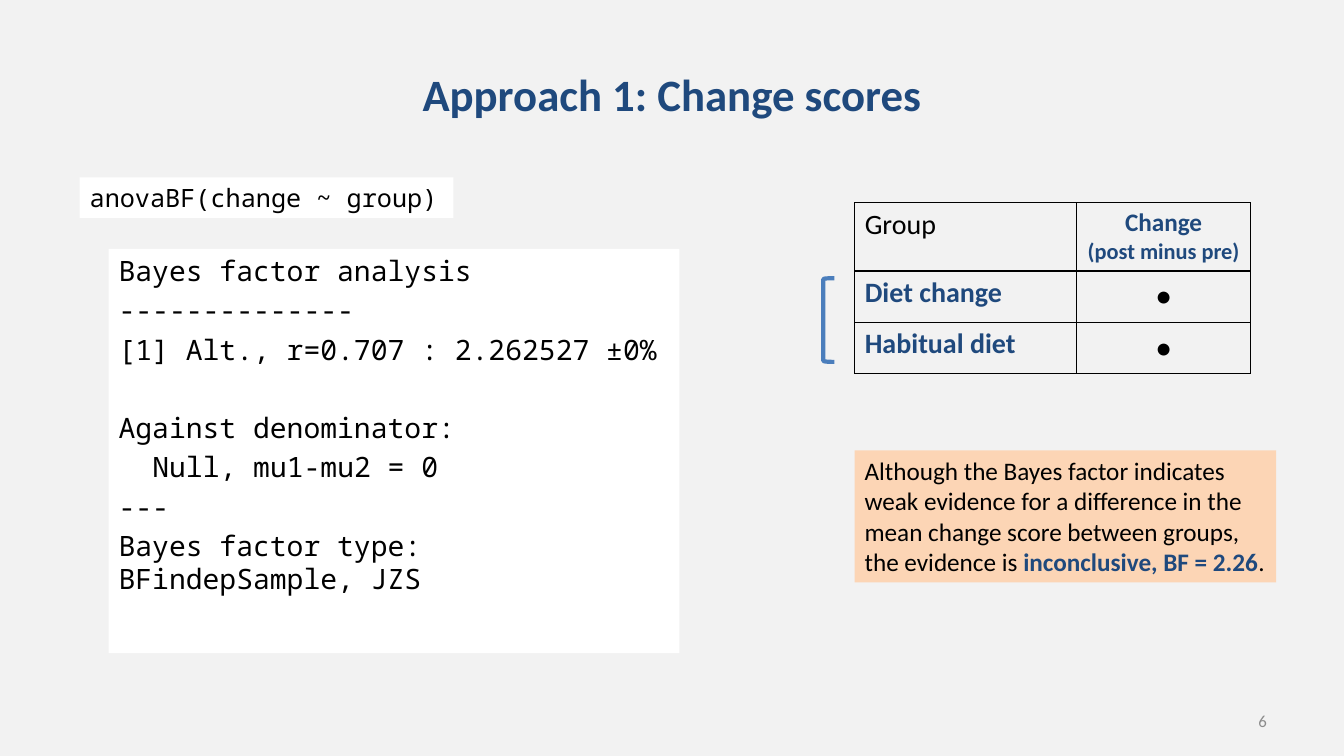
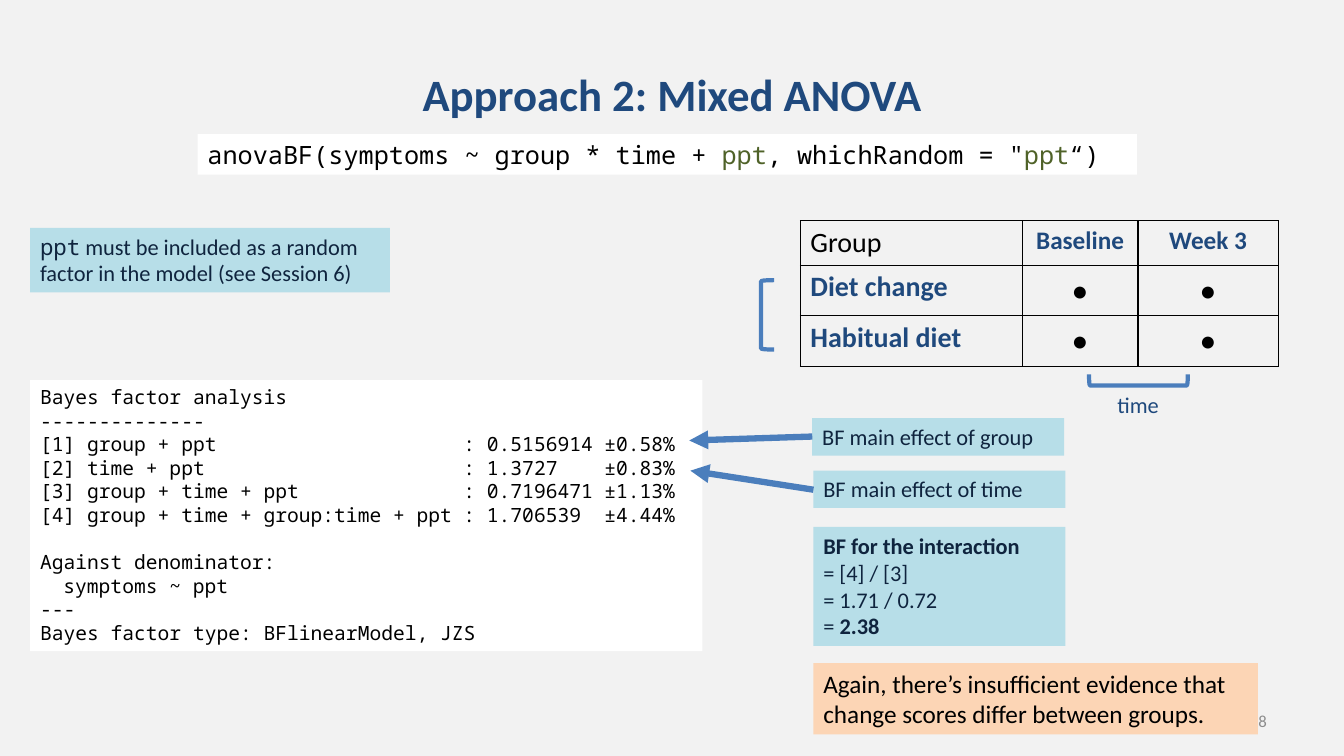
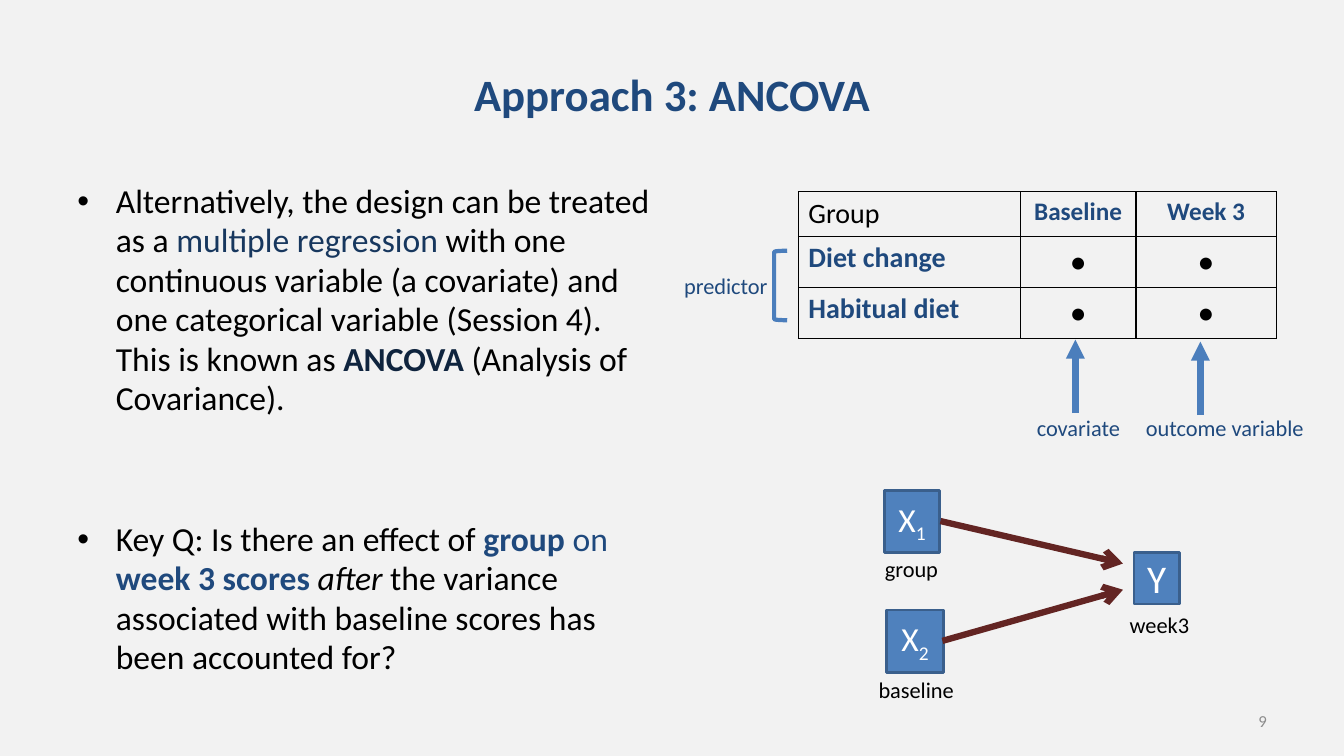
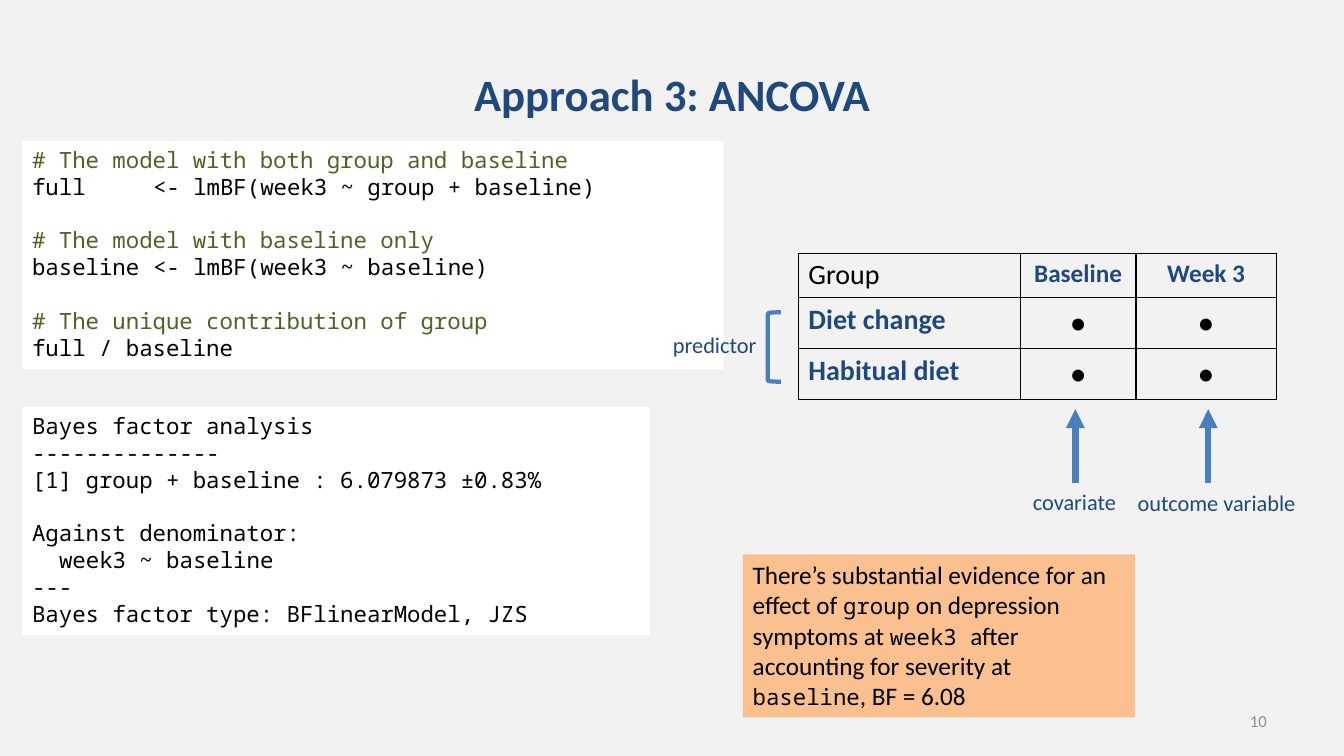
from lxml import etree
from pptx import Presentation
from pptx import util as u
from pptx.dml.color import RGBColor
from pptx.enum import shapes, text
from pptx.oxml.ns import qn

rgb = RGBColor.from_string
NAVY, INK, BLACK, WHITE = "1F497D", "0F243E", "000000", "FFFFFF"
BLUE, AQUA, PEACH, ORANGE = "4B7EBC", "B7DEE8", "FCD5B5", "FAC090"
GREEN, MAROON, GREY = "4F6228", "632523", "8C8C8C"
SANS, MONO = "Calibri", "Noto Sans Mono"
LEFT, CENTER, RIGHT = text.PP_ALIGN.LEFT, text.PP_ALIGN.CENTER, text.PP_ALIGN.RIGHT
TOP, MIDDLE = text.MSO_ANCHOR.TOP, text.MSO_ANCHOR.MIDDLE


def write(tf, paragraphs, align=LEFT, before=0, gaps={}, indents={}, tabs=(),
          bullet=False, spacing=None, **base):
    if isinstance(paragraphs, str):
        paragraphs = [paragraphs]
    for i, runs in enumerate(paragraphs):
        p = tf.paragraphs[0] if i == 0 else tf.add_paragraph()
        p.alignment = align
        p.space_before = u.Pt(gaps.get(i, before))
        if spacing:
            p.line_spacing = spacing
        pPr = p._p.get_or_add_pPr()
        if i in indents:
            pPr.set("marL", str(u.Cm(indents[i])))
        if bullet:
            pPr.set("marL", str(u.Cm(0.97)))
            pPr.set("indent", str(u.Cm(-0.97)))
            etree.SubElement(pPr, qn("a:buFont"), typeface="Arial")
            etree.SubElement(pPr, qn("a:buChar"), char="•")
        if tabs:
            stops = etree.SubElement(pPr, qn("a:tabLst"))
            for stop in tabs:
                etree.SubElement(stops, qn("a:tab"), pos=str(u.Cm(stop)), algn="l")
        for run in [runs] if isinstance(runs, str) else runs:
            words, changes = (run, {}) if isinstance(run, str) else run
            fmt = {"size": 16, "font": SANS, "color": BLACK, **base, **changes}
            r = p.add_run()
            r.text = words
            r.font.size = u.Pt(fmt["size"])
            r.font.name = fmt["font"]
            r.font.color.rgb = rgb(fmt["color"])
            r.font.bold = fmt.get("bold", False)
            r.font.italic = fmt.get("italic", False)
            if "shift" in fmt:
                r._r.get_or_add_rPr().set("baseline", str(fmt["shift"]))


def box(s, paragraphs, x, y, w, h, fill=None, line=None, wrap=True, anchor=TOP, **fmt):
    place = u.Cm(x), u.Cm(y), u.Cm(w), u.Cm(h)
    if fill:
        sp = s.shapes.add_shape(shapes.MSO_SHAPE.RECTANGLE, *place)
        sp.shadow.inherit = False
        sp.fill.solid()
        sp.fill.fore_color.rgb = rgb(fill)
        if line:
            sp.line.color.rgb = rgb(line)
            sp.line.width = u.Pt(2)
        else:
            sp.line.fill.background()
    else:
        sp = s.shapes.add_textbox(*place)
    tf = sp.text_frame
    tf.word_wrap = wrap
    tf.auto_size = text.MSO_AUTO_SIZE.NONE if wrap else text.MSO_AUTO_SIZE.SHAPE_TO_FIT_TEXT
    tf.vertical_anchor = anchor
    write(tf, paragraphs, **fmt)


prs = Presentation()
prs.slide_width, prs.slide_height = u.Cm(33.87), u.Cm(19.05)
bg = prs.slide_master.background.fill
bg.solid()
bg.fore_color.rgb = rgb("F2F2F2")

pages = [
    ("Approach 1: Change scores", "6"),
    ("Approach 2: Mixed ANOVA", "8"),
    ("Approach 3: ANCOVA", "9"),
    ("Approach 3: ANCOVA", "10"),
]
slides = []
for title, number in pages:
    s = prs.slides.add_slide(prs.slide_layouts[6])
    box(s, title, 1.7, 0.76, 30.48, 3.18, anchor=MIDDLE, align=CENTER,
        size=32, color=NAVY, bold=True)
    box(s, number, 24.28, 17.65, 7.9, 1.02, anchor=MIDDLE, align=RIGHT,
        size=12, color=GREY)
    slides.append(s)
change, mixed, ancova, result = slides

change_heads = [["Change", ("(post minus pre)", {"size": 16})]]
change_heads = [["Change", [("(post minus pre)", {"size": 16})]]]
time_heads = ["Baseline", "Week 3"]
tables = [
    (change, 21.54, 5.11, [5.59, 4.39], 1.69, change_heads),
    (mixed, 20.17, 5.56, [5.59, 2.92, 3.53], 1.12, time_heads),
    (ancova, 20.12, 4.83, [5.59, 2.92, 3.53], 1.12, time_heads),
    (result, 20.12, 6.38, [5.59, 2.92, 3.53], 1.12, time_heads),
]
for s, x, y, widths, head_height, heads in tables:
    heights = [head_height, 1.28, 1.28]
    table = s.shapes.add_table(3, len(widths), u.Cm(x), u.Cm(y),
                               u.Cm(sum(widths)), u.Cm(sum(heights))).table
    table.first_row = table.horz_banding = False
    for column, width in zip(table.columns, widths):
        column.width = u.Cm(width)
    rows = [["Group", *heads]]
    rows += [[name] + ["•"] * len(heads) for name in ("Diet change", "Habitual diet")]
    for i, row in enumerate(rows):
        table.rows[i].height = u.Cm(heights[i])
        for j, words in enumerate(row):
            cell = table.cell(i, j)
            cell.fill.background()
            tcPr = cell._tc.get_or_add_tcPr()
            for k, side in enumerate(("lnL", "lnR", "lnT", "lnB")):
                ln = etree.Element(qn("a:" + side), w=str(u.Pt(1)))
                edge = etree.SubElement(ln, qn("a:solidFill"))
                etree.SubElement(edge, qn("a:srgbClr"), val=BLACK)
                tcPr.insert(k, ln)
            label = (i == 0) != (j == 0)
            size = 20 if j == 0 else 18 if i == 0 else 24
            write(cell.text_frame, words, align=CENTER if j else LEFT, size=size,
                  color=NAVY if label else BLACK, bold=label)

box(change, [
    "Bayes factor analysis",
    "--------------",
    "[1] Alt., r=0.707 : 2.262527 ±0%",
    "Against denominator:",
    "Null, mu1-mu2 = 0",
    "---",
    "Bayes factor type: BFindepSample, JZS",
], 2.74, 6.27, 14.38, 10.19, fill=WHITE, font=MONO, size=20, before=4,
    gaps={3: 32}, indents={4: 0.85})
box(change, "anovaBF(change ~ group)", 2.01, 4.47, 9.42, 1.02, fill=WHITE,
    wrap=False, font=MONO, size=18)
box(change, [[
    "Although the Bayes factor indicates weak evidence for a difference in the "
    "mean change score between groups, the evidence is ",
    ("inconclusive, BF = 2.26", {"color": NAVY, "bold": True}),
    ".",
]], 21.54, 11.35, 10.62, 3.33, fill=PEACH, size=18)

box(mixed, [[
    "anovaBF(symptoms ~ group * time + ",
    ("ppt", {"color": GREEN}),
    ", whichRandom = \"",
    ("ppt", {"color": GREEN}),
    "“)",
]], 4.98, 3.38, 23.67, 1.02, fill=WHITE, font=MONO, size=18)
box(mixed, [[
    ("ppt", {"font": MONO}),
    " must be included as a random factor in the model (see Session 6)",
]], 0.76, 5.74, 9.07, 1.63, fill=AQUA, color=INK)
box(mixed, [
    "Bayes factor analysis",
    "--------------",
    "[1] group + ppt\t: 0.5156914\t±0.58%",
    "[2] time + ppt\t: 1.3727\t±0.83%",
    "[3] group + time + ppt\t: 0.7196471\t±1.13%",
    "[4] group + time + group:time + ppt\t: 1.706539\t±4.44%",
    "Against denominator:",
    "symptoms ~ ppt",
    "---",
    "Bayes factor type: BFlinearModel, JZS",
], 0.76, 9.58, 16.94, 6.83, fill=WHITE, font=MONO, size=14,
    gaps={6: 17}, indents={7: 0.59}, tabs=(10.67, 14.22))
box(mixed, "BF main effect of group", 20.47, 10.54, 6.35, 0.94, fill=AQUA, color=INK)
box(mixed, "BF main effect of time", 20.5, 11.86, 6.35, 0.94, fill=AQUA, color=INK)
box(mixed, [
    [("BF for the interaction", {"bold": True})],
    "= [4] / [3]",
    "= 1.71 / 0.72",
    ["= ", ("2.38", {"bold": True})],
], 20.5, 13.28, 6.35, 3, fill=AQUA, color=INK)
box(mixed, "Again, there’s insufficient evidence that change scores differ between groups.",
    20.5, 16.71, 11.2, 1.8, fill=PEACH, size=18)

box(ancova, [
    [
        "Alternatively, the design can be treated as a ",
        ("multiple regression ", {"color": "17375E"}),
        "with one continuous variable (a covariate) and one categorical variable "
        "(Session 4). This is known as ",
        ("ANCOVA", {"color": INK, "bold": True}),
        " (Analysis of Covariance).",
    ],
    [
        "Key Q: Is there an effect of ",
        ("group", {"color": NAVY, "bold": True}),
        (" on ", {"color": NAVY}),
        ("week 3 scores ", {"color": NAVY, "bold": True}),
        ("after", {"italic": True}),
        " the variance associated with baseline scores has been accounted for?",
    ],
], 1.7, 4.45, 15.14, 12.57, size=24, bullet=True, spacing=0.98, gaps={1: 72})
nodes = [
    ("X", "1", 24, 22.3, 12.37, 1.37, 1.55),
    ("X", "2", 24, 22.35, 15.37, 1.42, 1.57),
    ("Y", "", 28, 28.58, 13.92, 1.14, 1.3),
]
for letter, index, size, *place in nodes:
    runs = [letter] + ([(index, {"shift": -25000})] if index else [])
    box(ancova, [runs], *place, fill="4F81BD", line="3A5F8C", anchor=MIDDLE,
        align=CENTER, size=size, color=WHITE)

box(result, [
    [("# The model with both group and baseline", {"color": GREEN})],
    "full\t<- lmBF(week3 ~ group + baseline)",
    [("# The model with baseline only", {"color": GREEN})],
    "baseline\t<- lmBF(week3 ~ baseline)",
    [("# The unique contribution of group", {"color": GREEN})],
    "full / baseline",
], 0.56, 3.56, 17.68, 5.74, fill=WHITE, font=MONO, gaps={2: 19, 4: 19}, tabs=(3.05,))
box(result, [
    "Bayes factor analysis",
    "--------------",
    "[1] group + baseline : 6.079873 ±0.83%",
    "Against denominator:",
    "week3 ~ baseline",
    "---",
    "Bayes factor type: BFlinearModel, JZS",
], 0.56, 10.26, 15.82, 5.74, fill=WHITE, font=MONO, gaps={3: 19}, indents={4: 0.68})
code = {"font": MONO, "size": 16}
box(result, [[
    "There’s substantial evidence for an effect of ",
    ("group", code),
    " on depression symptoms at ",
    ("week3 ", code),
    "after accounting for severity at ",
    ("baseline", code),
    ", BF = 6.08",
]], 18.72, 13.97, 9.88, 4.11, fill=ORANGE, size=18)

labels = [
    (mixed, "time", 27.91, 9.73, 1.57, NAVY),
    (ancova, "covariate", 25.88, 10.31, 2.64, NAVY),
    (ancova, "predictor", 16.99, 6.73, 2.64, NAVY),
    (ancova, "outcome variable", 28.63, 10.31, 4.55, NAVY),
    (ancova, "week3", 28.22, 15.27, 2.03, BLACK),
    (ancova, "group", 22.05, 13.87, 1.88, BLACK),
    (ancova, "baseline", 21.89, 16.92, 2.44, BLACK),
    (result, "covariate", 25.78, 12.17, 2.64, NAVY),
    (result, "predictor", 16.71, 8.23, 2.64, NAVY),
    (result, "outcome variable", 28.42, 12.19, 4.55, NAVY),
]
for s, words, x, y, w, color in labels:
    box(s, words, x, y, w, 0.94, wrap=False, color=color)

brackets = [
    (change, 20.75, 7.01, 0.28, 2.11, 0),
    (mixed, 28.55, 8.33, 0.28, 2.49, 270),
    (mixed, 19.18, 7.06, 0.33, 1.75, 0),
    (ancova, 19.51, 6.32, 0.33, 1.75, 0),
    (result, 19.35, 7.87, 0.33, 1.75, 0),
]
for s, x, y, w, h, turn in brackets:
    sp = s.shapes.add_shape(shapes.MSO_SHAPE.LEFT_BRACKET, u.Cm(x), u.Cm(y), u.Cm(w), u.Cm(h))
    sp.shadow.inherit = False
    sp.rotation = turn
    sp.fill.background()
    sp.line.color.rgb = rgb(BLUE)
    sp.line.width = u.Pt(3)

arrows = [
    (mixed, 20.47, 11, 17.37, 11.1, BLUE, "triangle"),
    (mixed, 20.5, 12.34, 17.4, 11.86, BLUE, "triangle"),
    (ancova, 27.1, 10.41, 27.1, 8.56, BLUE, "triangle"),
    (ancova, 30.25, 10.46, 30.25, 8.61, BLUE, "triangle"),
    (ancova, 23.7, 13.13, 28.3, 14.2, MAROON, "arrow"),
    (ancova, 23.75, 16.15, 28.3, 14.86, MAROON, "arrow"),
    (result, 27.1, 12.17, 27.1, 10.31, BLUE, "triangle"),
    (result, 30.45, 12.17, 30.45, 10.31, BLUE, "triangle"),
]
for s, x1, y1, x2, y2, color, head in arrows:
    arrow = s.shapes.add_connector(shapes.MSO_CONNECTOR.STRAIGHT,
                                   u.Cm(x1), u.Cm(y1), u.Cm(x2), u.Cm(y2))
    arrow.line.color.rgb = rgb(color)
    arrow.line.width = u.Pt(4.5)
    spPr = arrow._element.spPr
    etree.SubElement(spPr.find(qn("a:ln")), qn("a:tailEnd"), type=head)
    etree.SubElement(spPr, qn("a:effectLst"))

prs.save("out.pptx")
